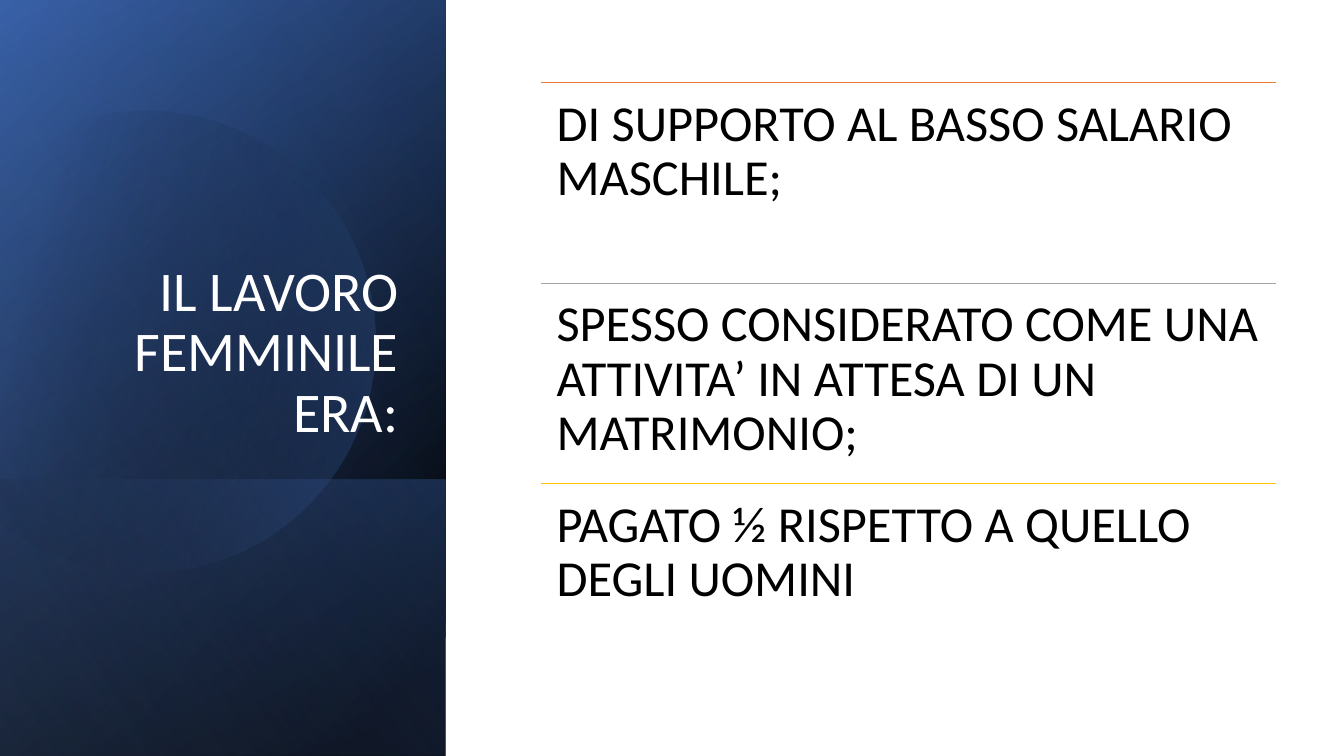
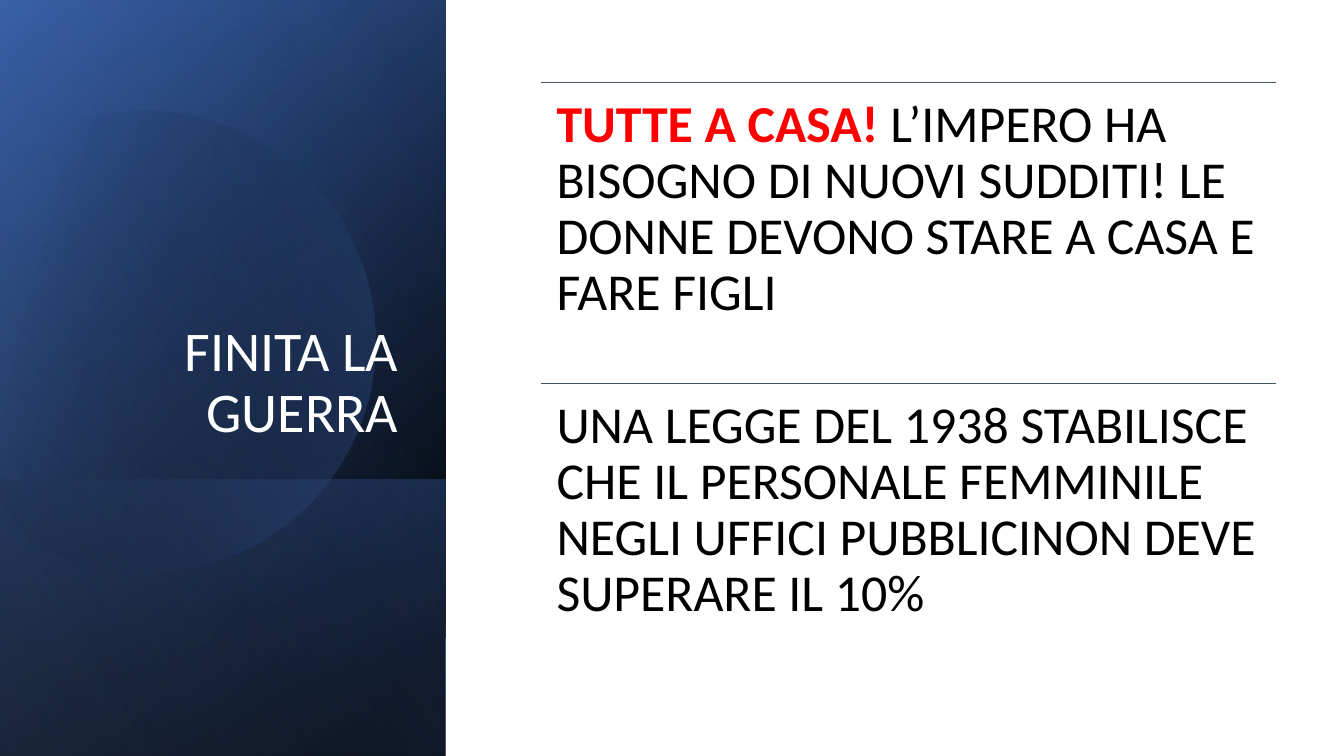
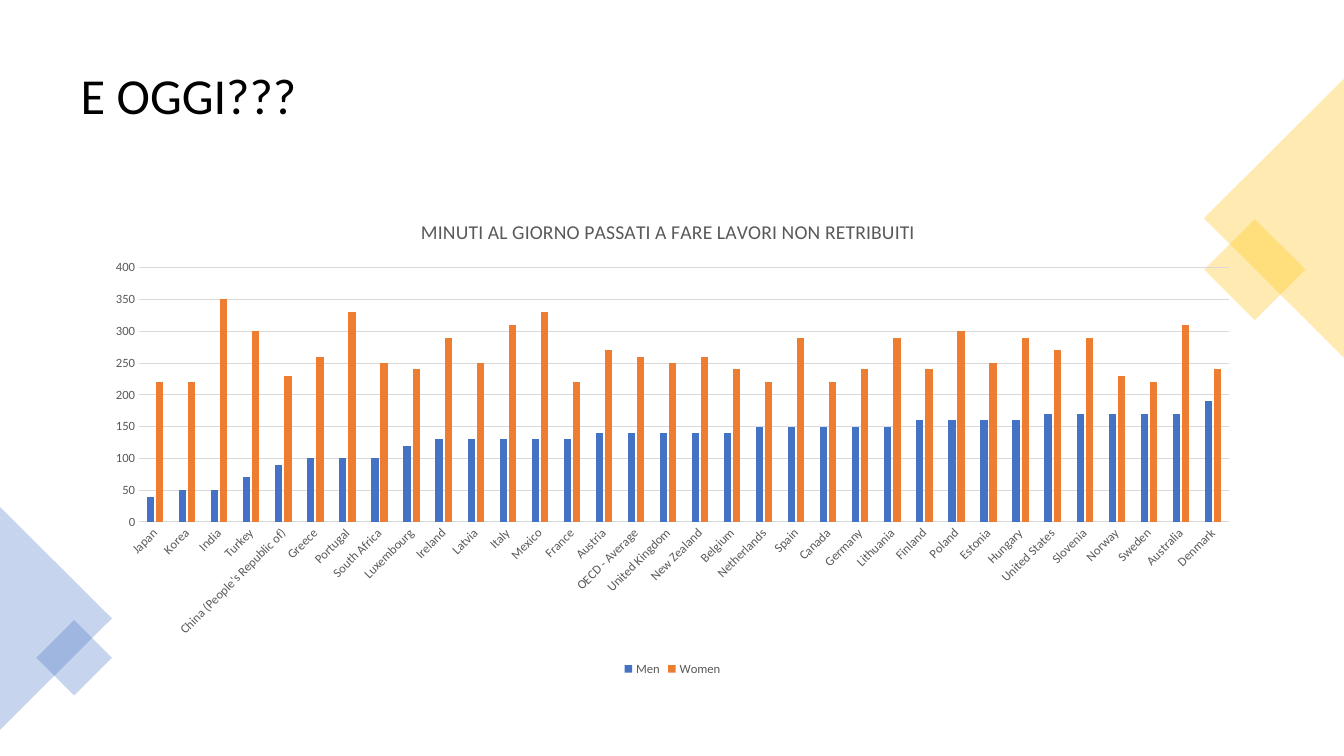
import math
from itertools import pairwise

from lxml import etree
from pptx import Presentation
from pptx import util as u
from pptx.chart.data import CategoryChartData
from pptx.dml.color import RGBColor
from pptx.enum import chart as ch, shapes, text
from pptx.oxml import ns

BLACK, WHITE, RED = "000000", "FFFFFF", "FF0000"
BLUE, ORANGE, GOLD, GREY = "4472C4", "ED7D31", "FFC000", "A5A5A5"
NAVY, PALE_BLUE, SLATE = "2F5597", "8FAADC", "44546A"
LABEL_GREY, RULE_GREY = "595959", "D9D9D9"
FONT = "Calibri"

PANEL = (0, 0, 4.42, 7.5)
PANEL_FOOT = (0, 4.76, 4.42, 2.74)
SIDE_TITLE = (0.64, 1.84, 3.41, 2.62)
ROWS = (5.37, 0.82, 7.29, 5.97)
TOP_TITLE = (0.7, 0.35, 11.93, 1.24)
CHART = (0.92, 1.99, 11.5, 4.76)

UNPAID_MINUTES = [
    ("Japan", 40, 220), ("Korea", 50, 220), ("India", 50, 350),
    ("Turkey", 70, 300), ("China (People's Republic of)", 90, 230),
    ("Greece", 100, 260), ("Portugal", 100, 330), ("South Africa", 100, 250),
    ("Luxembourg", 120, 240), ("Ireland", 130, 290), ("Latvia", 130, 250),
    ("Italy", 130, 310), ("Mexico", 130, 330), ("France", 130, 220),
    ("Austria", 140, 270), ("OECD - Average", 140, 260),
    ("United Kingdom", 140, 250), ("New Zealand", 140, 260),
    ("Belgium", 140, 240), ("Netherlands", 150, 220), ("Spain", 150, 290),
    ("Canada", 150, 220), ("Germany", 150, 240), ("Lithuania", 150, 290),
    ("Finland", 160, 240), ("Poland", 160, 300), ("Estonia", 160, 250),
    ("Hungary", 160, 290), ("United States", 170, 270),
    ("Slovenia", 170, 290), ("Norway", 170, 230), ("Sweden", 170, 220),
    ("Australia", 170, 310), ("Denmark", 190, 240),
]


def rgb(hex_color):
    return RGBColor.from_string(hex_color)


def inches(values):
    return [u.Inches(value) for value in values]


def apply(target, values):
    for name, value in values.items():
        setattr(target, name, value)


def set_font(font, size, color, bold=False):
    apply(font, {"size": u.Pt(size), "name": FONT, "bold": bold})
    font.color.rgb = rgb(color)


def set_alphas(shape, alphas):
    colors = shape.element.spPr.findall(".//" + ns.qn("a:srgbClr"))
    for color, alpha in zip(colors, alphas):
        if alpha < 100:
            etree.SubElement(color, ns.qn("a:alpha")).set("val", str(alpha * 1000))


def make_plain(shape):
    shape.shadow.inherit = False
    shape.line.fill.background()


def fill_gradient(shape, stops, angle):
    make_plain(shape)
    shape.fill.gradient()
    shape.fill.gradient_angle = 360 - angle
    for stop, (position, color, alpha) in zip(shape.fill.gradient_stops, stops):
        stop.position = position / 100
        stop.color.rgb = rgb(color)
    set_alphas(shape, [alpha for position, color, alpha in stops])


def add_turned(slide, kind, box, turn):
    left, top, width, height = box
    if turn % 180 == 90:
        left, top = left + (width - height) / 2, top + (height - width) / 2
        width, height = height, width
    shape = slide.shapes.add_shape(kind, *inches((left, top, width, height)))
    shape.rotation = turn
    return shape


def add_shade(slide, box, stops, angle):
    shade = add_turned(slide, shapes.MSO_SHAPE.RECTANGLE, box, 90)
    shade.element.spPr.xfrm.set("flipH", "1")
    fill_gradient(shade, stops, angle)


def add_disc(slide, box):
    center_x, center_y, radius = box[0] + 1.43, box[1] + 3.35, 2.29
    angles = [math.radians(degree) for degree in (-118, -90, 0, 90, 150)]

    def on_disc(angle, pull=0):
        x = center_x + radius * (math.cos(angle) - pull * math.sin(angle))
        y = center_y + radius * (math.sin(angle) + pull * math.cos(angle))
        return u.Inches(x), u.Inches(y)

    points = [on_disc(angle) for angle in angles]
    outline = slide.shapes.build_freeform(*points[0])
    outline.add_line_segments(points[1:], close=True)
    disc = outline.convert_to_shape()
    edges = disc.element.spPr.findall(".//" + ns.qn("a:lnTo"))
    for edge, (start, end) in zip(edges, pairwise(angles)):
        pull = 4 / 3 * math.tan((end - start) / 4)
        curve = etree.Element(ns.qn("a:cubicBezTo"))
        for x, y in (on_disc(start, pull), on_disc(end, -pull), on_disc(end)):
            point = etree.SubElement(curve, ns.qn("a:pt"))
            point.set("x", str(x - disc.left))
            point.set("y", str(y - disc.top))
        edge.getparent().replace(edge, curve)
    disc.rotation = 343.9
    fill_gradient(disc, [(29, BLACK, 0), (100, BLUE, 43)], 30)


def add_panel(slide):
    add_shade(slide, PANEL, [(8, BLACK, 100), (100, NAVY, 100)], 50)
    add_shade(slide, PANEL, [(0, BLACK, 0), (99, BLUE, 46)], 30)
    add_shade(slide, PANEL_FOOT, [(2, BLUE, 29), (100, BLACK, 30)], 130)
    add_disc(slide, PANEL)
    add_shade(slide, PANEL, [(0, BLACK, 0), (99, PALE_BLUE, 11)], 120)


def place_title(slide, wording, box, size, color, align, anchor):
    title = slide.shapes.title
    apply(title, dict(zip(("left", "top", "width", "height"), inches(box))))
    apply(title.text_frame, {"text": wording, "word_wrap": True,
                             "auto_size": text.MSO_AUTO_SIZE.NONE,
                             "vertical_anchor": anchor})
    paragraph = title.text_frame.paragraphs[0]
    apply(paragraph, {"alignment": align, "line_spacing": 0.9})
    set_font(paragraph.runs[0].font, size, color)
    slide.shapes._spTree.append(title.element)


def add_rule(slide, left, top, width, color):
    rule = slide.shapes.add_connector(shapes.MSO_CONNECTOR.STRAIGHT,
                                      *inches((left, top, left + width, top)))
    rule.line.color.rgb = rgb(color)
    rule.line.width = u.Pt(0.5)
    etree.SubElement(rule.element.spPr, ns.qn("a:effectLst"))


def add_rows(slide, box, rows, size):
    left, top, width, height = box
    step = height / len(rows)
    for index, (rule_color, runs) in enumerate(rows):
        row_top = top + index * step
        add_rule(slide, left, row_top, width, rule_color)
        row = slide.shapes.add_textbox(*inches((left, row_top, width, step)))
        frame = row.text_frame
        sides = ("left", "top", "right", "bottom")
        apply(frame, {f"margin_{side}": u.Inches(0.15) for side in sides})
        frame.word_wrap = True
        paragraph = frame.paragraphs[0]
        paragraph.line_spacing = 0.9
        for wording, color, bold in runs:
            run = paragraph.add_run()
            run.text = wording
            set_font(run.font, size, color, bold)


def add_tinted(slide, kind, box, turn, color):
    tinted = add_turned(slide, kind, box, turn)
    make_plain(tinted)
    tinted.fill.solid()
    tinted.fill.fore_color.rgb = rgb(color)
    set_alphas(tinted, [30])


def add_corners(slide):
    square, triangle = shapes.MSO_SHAPE.RECTANGLE, shapes.MSO_SHAPE.ISOSCELES_TRIANGLE
    add_tinted(slide, square, (12.09, 2.32, 0.71, 0.71), 45, GOLD)
    add_tinted(slide, triangle, (11.94, 0.78, 1.39, 2.77), 270, GOLD)
    add_tinted(slide, triangle, (0, 5.03, 1.11, 2.21), 90, BLUE)
    add_tinted(slide, square, (0.47, 6.26, 0.53, 0.53), 45, BLUE)


def set_layout(parent, index, values):
    layout = parent.find(ns.qn("c:layout"))
    if layout is None:
        layout = etree.Element(ns.qn("c:layout"))
        parent.insert(index, layout)
    manual = etree.SubElement(layout, ns.qn("c:manualLayout"))
    for name, value in values.items():
        etree.SubElement(manual, ns.qn("c:" + name)).set("val", str(value))


def format_axes(chart):
    for axis in (chart.category_axis, chart.value_axis):
        apply(axis, {"major_tick_mark": ch.XL_TICK_MARK.NONE,
                     "minor_tick_mark": ch.XL_TICK_MARK.NONE})
        set_font(axis.tick_labels.font, 9, LABEL_GREY)
    countries, minutes = chart.category_axis, chart.value_axis
    turned = countries._element.find(ns.qn("c:txPr")).find(ns.qn("a:bodyPr"))
    turned.set("rot", "-60000000")
    apply(minutes, {"minimum_scale": 0, "maximum_scale": 400, "major_unit": 50,
                    "has_major_gridlines": True})
    minutes.format.line.fill.background()
    for line in (countries.format.line, minutes.major_gridlines.format.line):
        line.color.rgb = rgb(RULE_GREY)
        line.width = u.Pt(0.75)


def add_minutes_chart(slide, box):
    countries, men, women = zip(*UNPAID_MINUTES)
    data = CategoryChartData()
    data.categories = countries
    data.add_series("Men", men)
    data.add_series("Women", women)
    chart = slide.shapes.add_chart(ch.XL_CHART_TYPE.COLUMN_CLUSTERED,
                                   *inches(box), data).chart
    set_font(chart.font, 10, BLACK)
    apply(chart, {"has_title": True, "has_legend": True})
    heading = chart.chart_title.text_frame
    heading.text = "MINUTI AL GIORNO PASSATI A FARE LAVORI NON RETRIBUITI"
    set_font(heading.paragraphs[0].runs[0].font, 14, LABEL_GREY)
    set_layout(chart.chart_title._element, 1,
               {"xMode": "edge", "yMode": "edge", "x": 0.28, "y": 0.03})
    set_layout(chart._chartSpace.chart.plotArea, 0,
               {"layoutTarget": "inner", "xMode": "edge", "yMode": "edge",
                "x": 0.04, "y": 0.14, "w": 0.94, "h": 0.53})
    apply(chart.legend, {"position": ch.XL_LEGEND_POSITION.BOTTOM,
                         "include_in_layout": False})
    set_font(chart.legend.font, 9, LABEL_GREY)
    apply(chart.plots[0], {"gap_width": 219, "overlap": -27,
                           "vary_by_categories": False})
    for series, color in zip(chart.plots[0].series, (BLUE, ORANGE)):
        series.format.fill.solid()
        series.format.fill.fore_color.rgb = rgb(color)
    format_axes(chart)


def add_slide(deck):
    return deck.slides.add_slide(deck.slide_layouts[5])


def build_panel_slide(deck, title, rows, size):
    slide = add_slide(deck)
    add_panel(slide)
    place_title(slide, title, SIDE_TITLE, 40, WHITE,
                text.PP_ALIGN.RIGHT, text.MSO_ANCHOR.BOTTOM)
    add_rows(slide, ROWS, rows, size)


def build_chart_slide(deck):
    slide = add_slide(deck)
    place_title(slide, "E OGGI???", TOP_TITLE, 36, BLACK,
                text.PP_ALIGN.LEFT, text.MSO_ANCHOR.MIDDLE)
    add_corners(slide)
    add_minutes_chart(slide, CHART)


def main():
    deck = Presentation()
    apply(deck, {"slide_width": u.Inches(13.33), "slide_height": u.Inches(7.5)})
    build_panel_slide(deck, "IL LAVORO FEMMINILE ERA:", [
        (ORANGE, [("DI SUPPORTO AL BASSO SALARIO MASCHILE;", BLACK, False)]),
        (GREY, [("SPESSO CONSIDERATO COME UNA ATTIVITA’ IN ATTESA DI UN "
                 "MATRIMONIO;", BLACK, False)]),
        (GOLD, [("PAGATO ½ RISPETTO A QUELLO DEGLI UOMINI", BLACK, False)]),
    ], 36)
    build_panel_slide(deck, "FINITA LA GUERRA", [
        (SLATE, [("TUTTE A CASA! ", RED, True),
                 ("L’IMPERO HA BISOGNO DI NUOVI SUDDITI! LE DONNE DEVONO "
                  "STARE A CASA E FARE FIGLI", BLACK, False)]),
        (SLATE, [("UNA LEGGE DEL 1938 STABILISCE CHE IL PERSONALE FEMMINILE "
                  "NEGLI UFFICI PUBBLICINON DEVE SUPERARE IL 10%", BLACK, False)]),
    ], 37)
    build_chart_slide(deck)
    deck.save("out.pptx")


if __name__ == "__main__":
    main()
